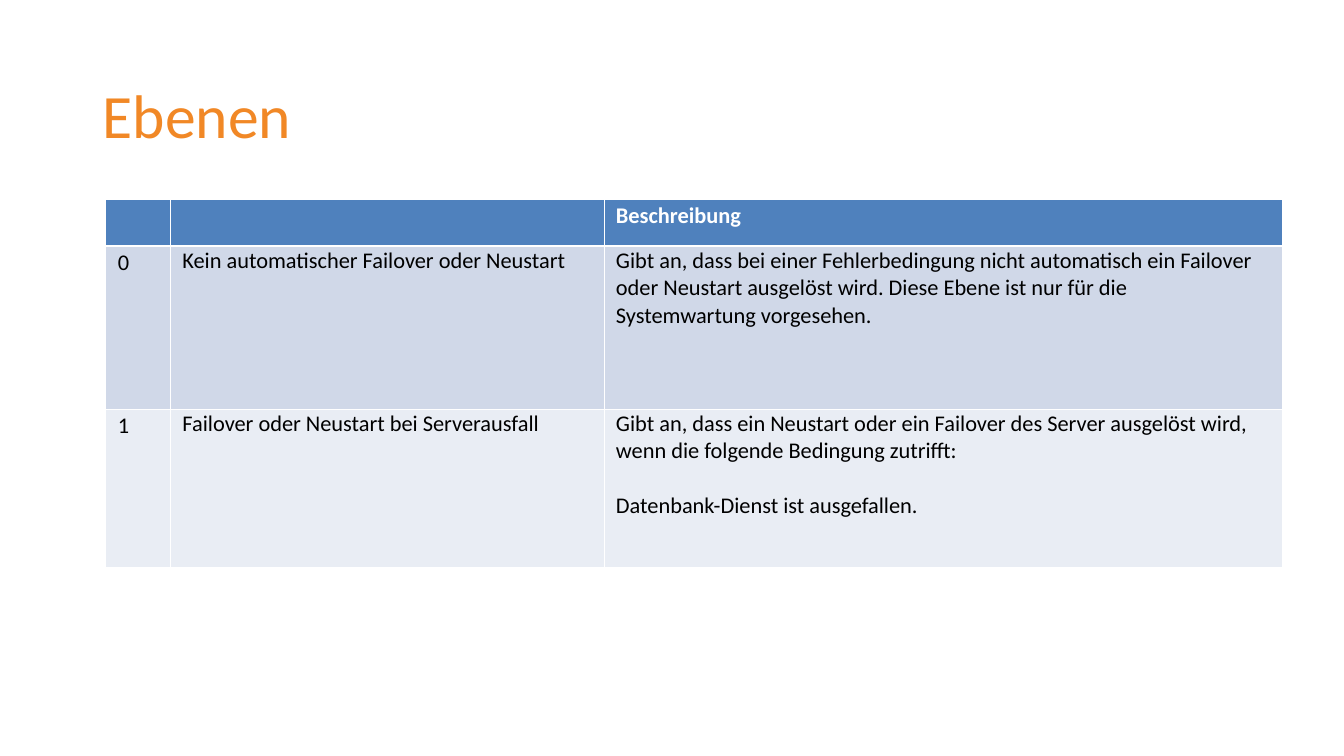
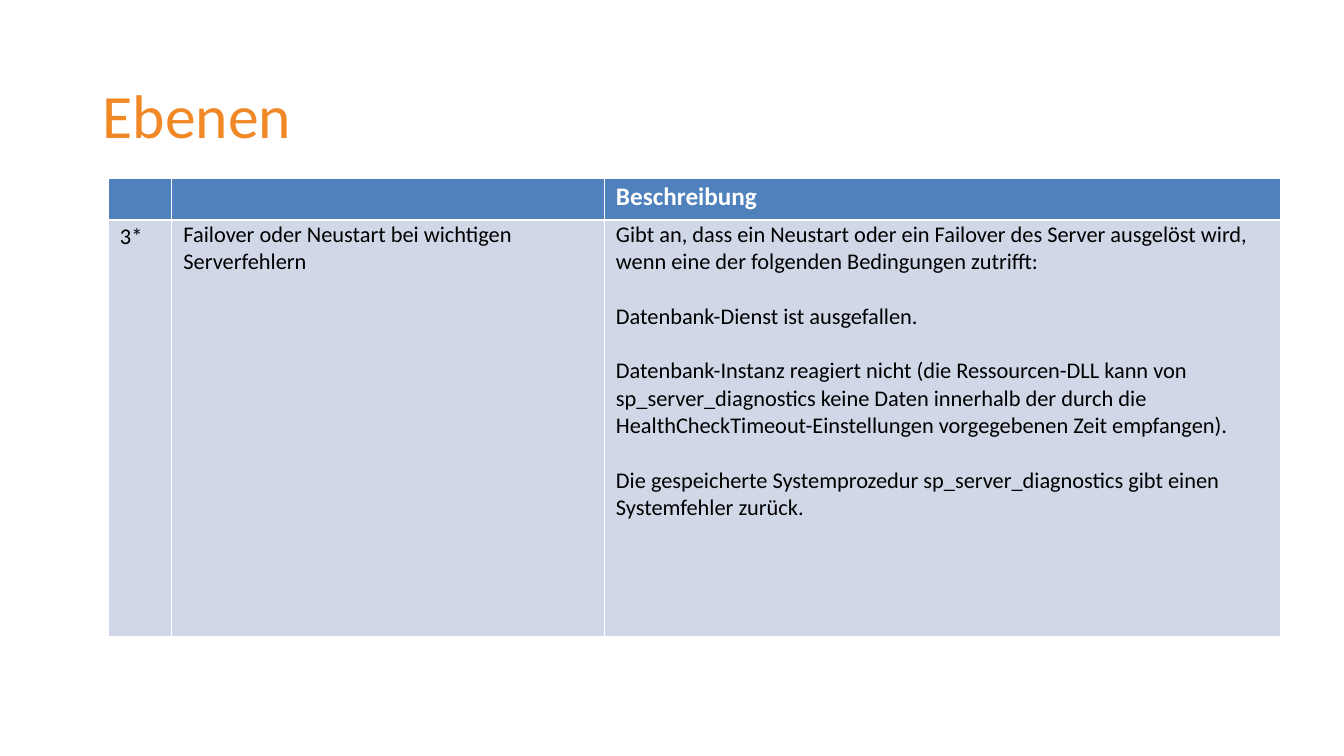
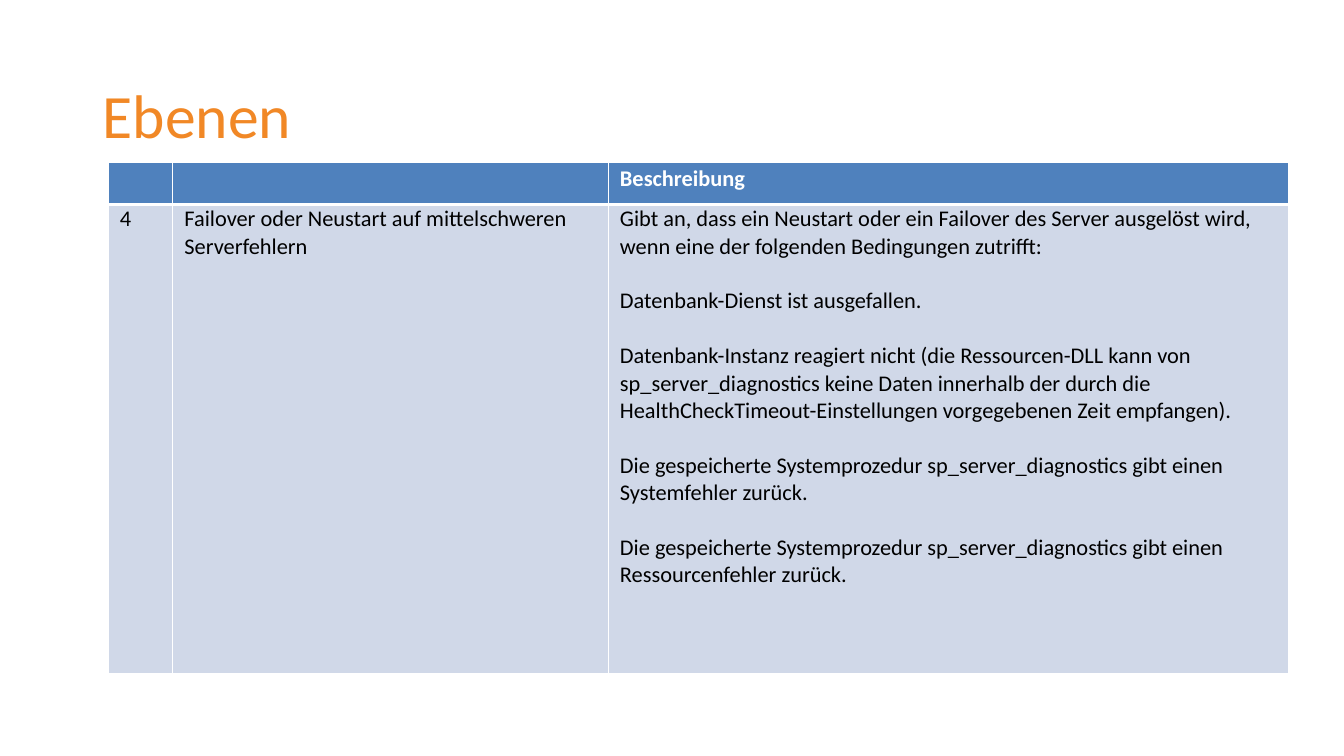
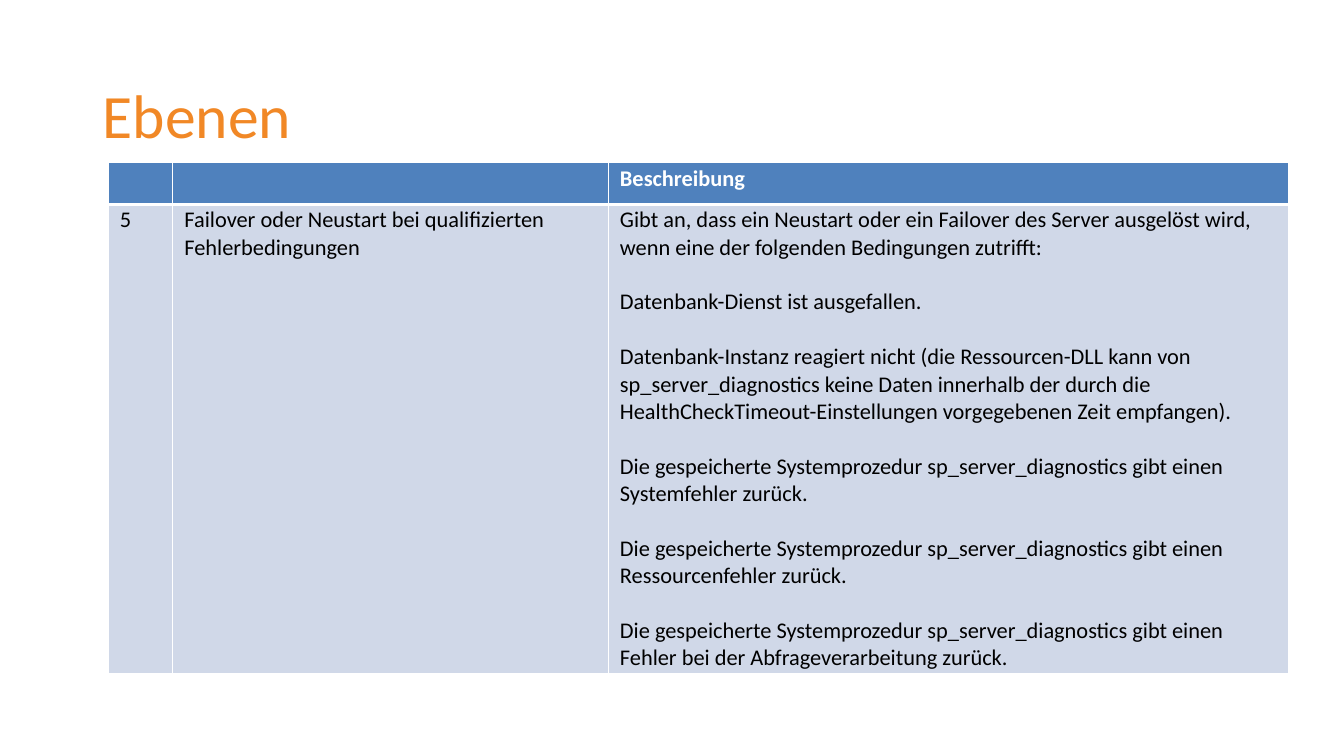
from lxml import etree
from pptx import Presentation
from pptx.dml.color import RGBColor
from pptx.enum.text import MSO_ANCHOR, PP_ALIGN
from pptx.oxml.ns import qn
from pptx.util import Inches, Pt

LEFT = PP_ALIGN.LEFT
TOP, MIDDLE = MSO_ANCHOR.TOP, MSO_ANCHOR.MIDDLE
TITLE_ONLY = 5

# Shared style
FONT = "Calibri"
ORANGE, BLUE, WHITE, BLACK = "F18826", "4F81BD", "FFFFFF", "000000"
BANDS = ("D0D8E8", "E9EDF4")
THIN, THICK = 0.64, 1.91
SIDE_INSET, HEADER_INSET = 0.12, 0.03
BODY_SIZE, ENTRY_GAP = 16, 19.5
HEADER = ("", "", "Beschreibung")

# Wording that grows from level to level
TRIGGER = "Gibt an, dass ein Neustart oder ein Failover des Server ausgelöst wird, wenn "
SERVICE_DOWN = "Datenbank-Dienst ist ausgefallen."
PROCEDURE = "Die gespeicherte Systemprozedur sp_server_diagnostics gibt einen "
LEVEL_3 = [
    TRIGGER + "eine der folgenden Bedingungen zutrifft:",
    SERVICE_DOWN,
    "Datenbank-Instanz reagiert nicht (die Ressourcen-DLL kann von "
    "sp_server_diagnostics keine Daten innerhalb der durch die "
    "HealthCheckTimeout-Einstellungen vorgegebenen Zeit empfangen).",
    PROCEDURE + "Systemfehler zurück.",
]
LEVEL_4 = LEVEL_3 + [PROCEDURE + "Ressourcenfehler zurück."]
LEVEL_5 = LEVEL_4 + [PROCEDURE + "Fehler bei der Abfrageverarbeitung zurück."]

# One entry per slide; insets are the vertical cell margins of a level row
LEVEL_SLIDES = [
    dict(at=(1.05, 1.98), columns=(0.64, 4.3, 6.73), heights=(0.46, 1.62, 1.57),
         header_size=16, insets=(0.03, 0.01, 0.01), levels=[
             ("0", "Kein automatischer Failover oder Neustart",
              ["Gibt an, dass bei einer Fehlerbedingung nicht automatisch ein "
               "Failover oder Neustart ausgelöst wird. Diese Ebene ist nur für "
               "die Systemwartung vorgesehen."]),
             ("1", "Failover oder Neustart bei Serverausfall",
              [TRIGGER + "die folgende Bedingung zutrifft:", SERVICE_DOWN])]),
    dict(at=(1.07, 1.77), columns=(0.63, 4.29, 6.71), heights=(0.41, 4.13),
         header_size=18, insets=(0.03, 0.01, 0.01), levels=[
             ("3*", "Failover oder Neustart bei wichtigen Serverfehlern", LEVEL_3)]),
    dict(at=(1.07, 1.61), columns=(0.64, 4.32, 6.75), heights=(0.42, 4.65),
         header_size=16, insets=(0.01, 0.01, 0.01), levels=[
             ("4", "Failover oder Neustart auf mittelschweren Serverfehlern", LEVEL_4)]),
    dict(at=(1.07, 1.61), columns=(0.64, 4.32, 6.75), heights=(0.42, 4.65),
         header_size=16, insets=(0.02, 0.02, 0.02), levels=[
             ("5", "Failover oder Neustart bei qualifizierten Fehlerbedingungen", LEVEL_5)]),
]


def rgb(color):
    return RGBColor.from_string(color)


def apply(target, values):
    for name, value in values.items():
        setattr(target, name, value)


class Deck:
    def __init__(self):
        self.presentation = Presentation()
        apply(self.presentation, dict(slide_width=Inches(13.33), slide_height=Inches(7.5)))
        self.slide = None

    def add_slide(self, heading):
        layout = self.presentation.slide_layouts[TITLE_ONLY]
        self.slide = self.presentation.slides.add_slide(layout)
        self.title(heading)

    def fill_text(self, frame, entries, size, color, bold=False):
        """Put each entry in a paragraph, with a line's gap between entries."""
        for index, entry in enumerate(entries):
            paragraph = frame.paragraphs[0] if index == 0 else frame.add_paragraph()
            paragraph.alignment = LEFT
            if index < len(entries) - 1:
                paragraph.space_after = Pt(ENTRY_GAP)
            run = paragraph.add_run()
            run.text = entry
            apply(run.font, dict(name=FONT, size=Pt(size), bold=bold))
            run.font.color.rgb = rgb(color)

    def title(self, heading):
        title = self.slide.shapes.title
        apply(title, dict(left=Inches(0.92), top=Inches(0.5),
                          width=Inches(11.5), height=Inches(1.35)))
        apply(title.text_frame, dict(vertical_anchor=MIDDLE, word_wrap=True))
        self.fill_text(title.text_frame, [heading], 44, ORANGE)
        title.text_frame.paragraphs[0].line_spacing = 0.9

    def borders(self, cell, top, bottom):
        properties = cell._tc.get_or_add_tcPr()
        for side, width in zip("LRTB", (THIN, THIN, top, bottom)):
            line = etree.SubElement(properties, qn(f"a:ln{side}"), w=str(int(Pt(width))))
            fill = etree.SubElement(line, qn("a:solidFill"))
            etree.SubElement(fill, qn("a:srgbClr"), val=WHITE)

    def cell(self, cell, entries, fill, inset, top=THIN, bottom=THIN, **text):
        self.borders(cell, top, bottom)
        cell.fill.solid()
        cell.fill.fore_color.rgb = rgb(fill)
        apply(cell, dict(margin_left=Inches(SIDE_INSET), margin_right=Inches(SIDE_INSET),
                         margin_top=Inches(inset), margin_bottom=Inches(inset),
                         vertical_anchor=TOP))
        if any(entries):
            self.fill_text(cell.text_frame, entries, **text)

    def level_table(self, at, columns, heights, header_size, insets, levels):
        lengths = (*at, sum(columns), sum(heights))
        table = self.slide.shapes.add_table(
            len(heights), len(columns), *map(Inches, lengths)).table
        for column, width in zip(table.columns, columns):
            column.width = Inches(width)
        for row, height in zip(table.rows, heights):
            row.height = Inches(height)

        # Header row
        for index, label in enumerate(HEADER):
            self.cell(table.cell(0, index), [label], BLUE, HEADER_INSET, bottom=THICK,
                      size=header_size, color=WHITE, bold=True)

        # Level rows
        for row, (number, name, description) in enumerate(levels, 1):
            for index, entries in enumerate(([number], [name], description)):
                self.cell(table.cell(row, index), entries, BANDS[(row - 1) % 2],
                          insets[index], top=THICK if row == 1 else THIN,
                          size=BODY_SIZE, color=BLACK)


def main():
    deck = Deck()
    for level_slide in LEVEL_SLIDES:
        deck.add_slide("Ebenen")
        deck.level_table(**level_slide)
    deck.presentation.save("out.pptx")


if __name__ == "__main__":
    main()
